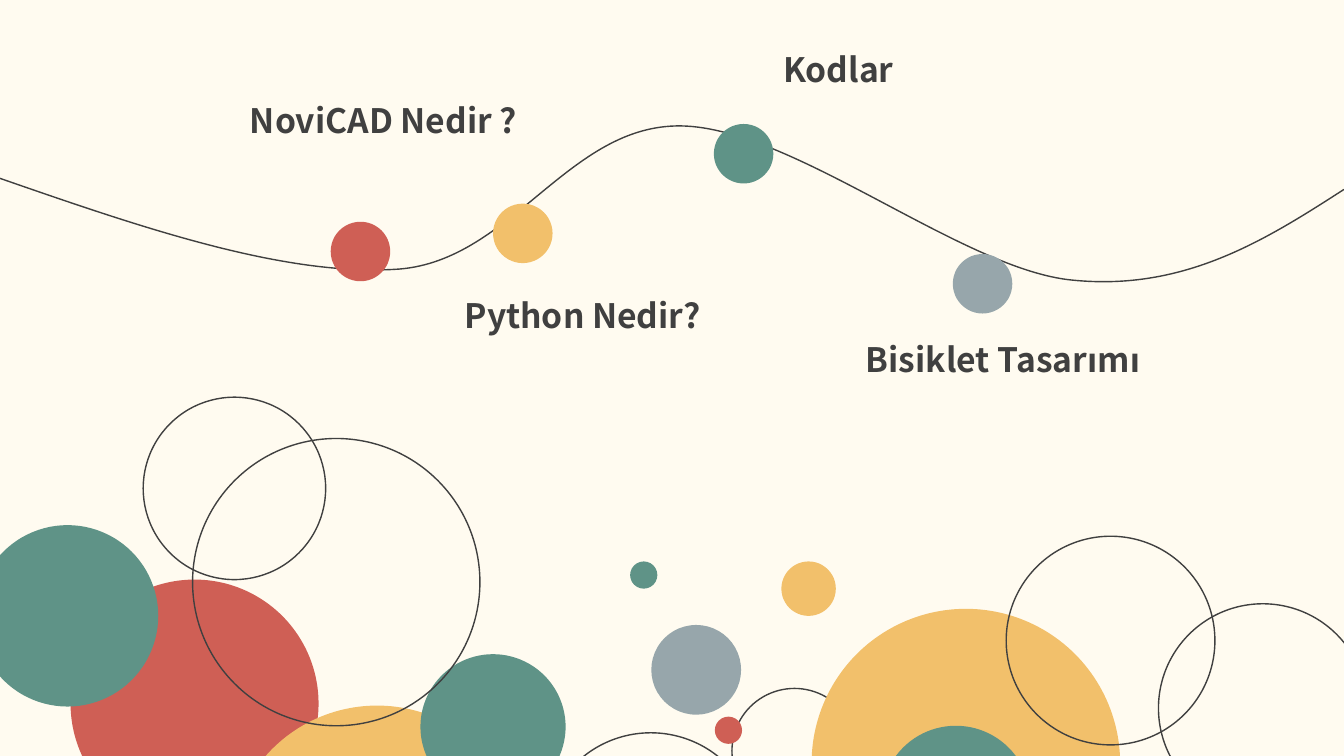
from lxml import etree
from pptx import Presentation
from pptx.dml.color import RGBColor
from pptx.enum.shapes import MSO_SHAPE
from pptx.enum.text import MSO_AUTO_SIZE
from pptx.oxml.ns import qn
from pptx.util import Inches, Pt

CREAM = RGBColor(0xFF, 0xFB, 0xF0)
INK = RGBColor(0x40, 0x40, 0x40)
RED = RGBColor(0xCF, 0x5F, 0x55)
YELLOW = RGBColor(0xF2, 0xC0, 0x6B)
GREEN = RGBColor(0x5F, 0x93, 0x87)
GREY = RGBColor(0x97, 0xA6, 0xAB)
FONT = "Noto Sans CJK SC"

# left, top, diameter, fill (None: outlined ring), from back to front
BUBBLES = [
    (0.7, 5.75, 2.46, RED),
    (2.27, 7, 2.94, YELLOW),
    (4.17, 6.49, 1.44, GREEN),
    (5.39, 7.27, 2.13, None),
    (1.91, 4.35, 2.85, None),
    (-0.23, 5.21, 1.8, GREEN),
    (7.26, 6.83, 1.24, None),
    (8.05, 6.04, 3.06, YELLOW),
    (8.74, 7.2, 1.48, GREEN),
    (9.98, 5.32, 2.07, None),
    (11.49, 5.99, 2.07, None),
    (6.46, 6.2, 0.89, GREY),
    (7.09, 7.11, 0.27, RED),
    (6.25, 5.57, 0.27, GREEN),
    (7.75, 5.57, 0.54, YELLOW),
    (1.42, 3.94, 1.81, None),
]

# start point, then two control points and an end point per Bézier segment
WAVE = [
    (0, 1.77),
    (1.41, 2.26), (2.83, 2.75), (3.96, 2.67),
    (5.08, 2.58), (5.64, 1.23), (6.76, 1.25),
    (7.87, 1.27), (9.55, 2.68), (10.64, 2.78),
    (11.74, 2.89), (12.54, 2.39), (13.33, 1.88),
]

# topic, label box (left, top, width, height), stop (left, top), stop colour
STOP_SIZE = 0.59
TOPICS = [
    ("NoviCAD Nedir ?", (2.38, 0.94, 3.11, 0.5), (3.28, 2.2), RED),
    ("Python Nedir?", (4.51, 2.88, 3.11, 0.5), (4.89, 2.02), YELLOW),
    ("Kodlar", (7.67, 0.44, 3.11, 0.91), (7.08, 1.23), GREEN),
    ("Bisiklet Tasarımı", (8.49, 3.31, 3.56, 0.5), (9.45, 2.52), GREY),
]


def outline(shape):
    shape.shadow.inherit = False
    shape.fill.background()
    shape.line.color.rgb = INK
    shape.line.width = Pt(1)


def add_circle(slide, left, top, diameter, colour):
    circle = slide.shapes.add_shape(
        MSO_SHAPE.OVAL, Inches(left), Inches(top), Inches(diameter), Inches(diameter))
    if colour is None:
        outline(circle)
        return
    circle.shadow.inherit = False
    circle.fill.solid()
    circle.fill.fore_color.rgb = colour
    circle.line.fill.background()


def add_wave(slide, points):
    """Draw the control polygon, then turn every three lines into one Bézier."""
    start, *rest = [(Inches(x), Inches(y)) for x, y in points]
    builder = slide.shapes.build_freeform(*start)
    builder.add_line_segments(rest, close=False)
    wave = builder.convert_to_shape()
    outline(wave)
    path = next(wave.element.iter(qn("a:path")))
    lines = path.findall(qn("a:lnTo"))
    for i in range(0, len(lines), 3):
        curve = etree.SubElement(path, qn("a:cubicBezTo"))
        for line in lines[i:i + 3]:
            curve.append(line[0])
            path.remove(line)


def add_label(slide, topic, box):
    label = slide.shapes.add_textbox(*map(Inches, box))
    frame = label.text_frame
    frame.word_wrap = True
    frame.auto_size = MSO_AUTO_SIZE.SHAPE_TO_FIT_TEXT
    frame.text = topic
    font = frame.paragraphs[0].runs[0].font
    font.name = FONT
    font.size = Pt(24)
    font.bold = True
    font.color.rgb = INK


def main():
    deck = Presentation()
    deck.slide_width, deck.slide_height = Inches(13.33), Inches(7.5)
    slide = deck.slides.add_slide(deck.slide_layouts[6])
    slide.background.fill.solid()
    slide.background.fill.fore_color.rgb = CREAM

    for bubble in BUBBLES:
        add_circle(slide, *bubble)
    add_wave(slide, WAVE)
    for topic, box, stop, colour in TOPICS:
        add_circle(slide, *stop, STOP_SIZE, colour)
        add_label(slide, topic, box)

    deck.save("out.pptx")


if __name__ == "__main__":
    main()
